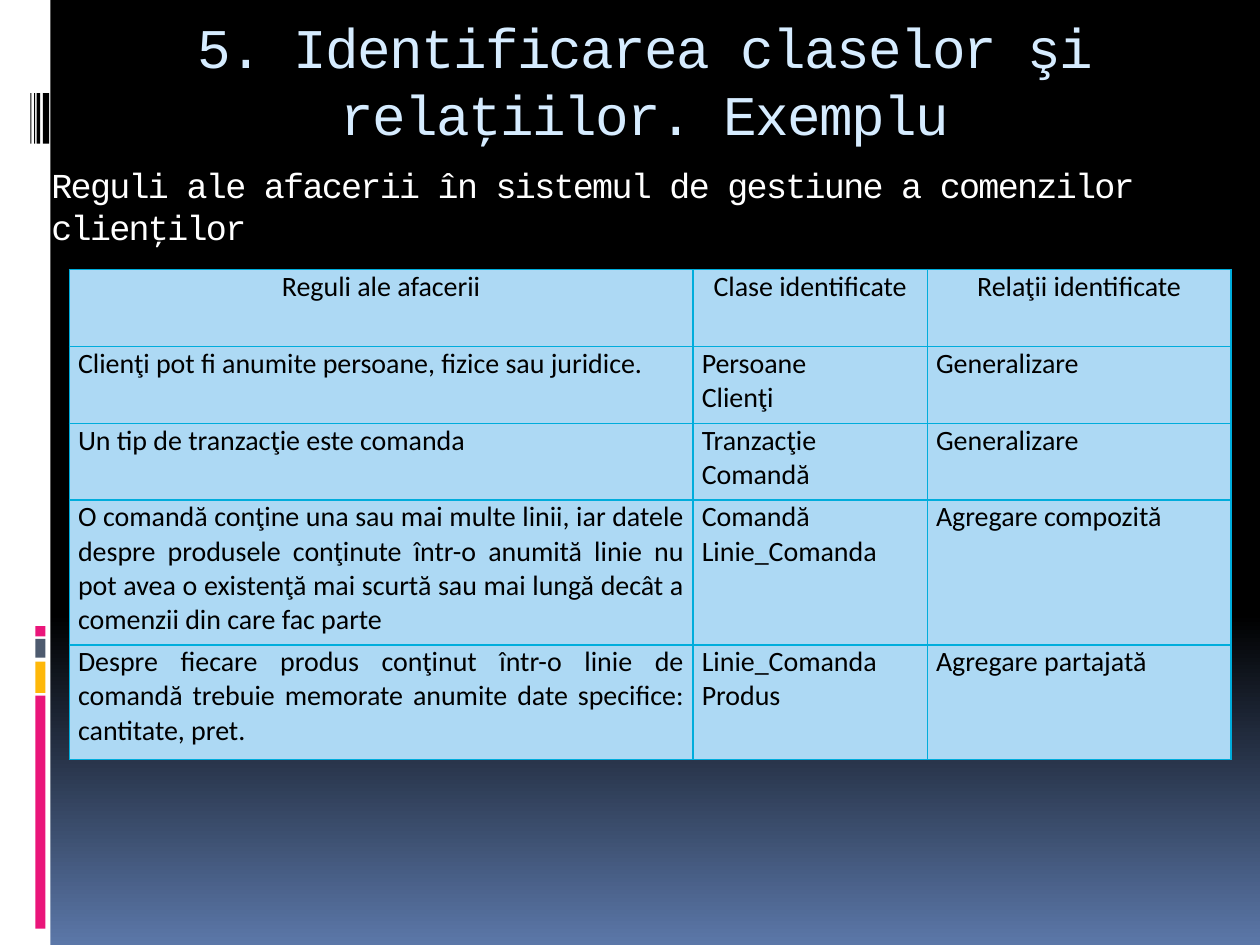
from lxml import etree
from pptx import Presentation
from pptx.dml.color import RGBColor
from pptx.enum import shapes, text
from pptx.oxml.ns import qn
from pptx.util import Inches, Pt

BLACK = RGBColor(0x00, 0x00, 0x00)
WHITE = RGBColor(0xFF, 0xFF, 0xFF)
BLUE = RGBColor(0x5B, 0x77, 0xA8)
PINK = RGBColor(0xEA, 0x15, 0x7A)
AMBER = RGBColor(0xFE, 0xB8, 0x0A)
SLATE = RGBColor(0x4E, 0x5B, 0x6F)
PALE_BLUE = RGBColor(0xD6, 0xEC, 0xFF)
CELL_BLUE = RGBColor(0xAD, 0xD9, 0xF4)
BORDER = RGBColor(0x00, 0xAD, 0xDC)

CENTER, JUSTIFY, LEFT = (text.PP_ALIGN.CENTER, text.PP_ALIGN.JUSTIFY,
                         text.PP_ALIGN.LEFT)
COLUMNS = [4.95, 1.86, 2.41]
ROW_HEIGHTS = [0.61, 0.61, 0.61, 1.15, 0.91]
RULES = [
    ("Reguli ale afacerii", "Clase identificate", "Relaţii identificate"),
    ("Clienţi pot fi anumite persoane, fizice sau juridice.",
     "Persoane\nClienţi", "Generalizare"),
    ("Un tip de tranzacţie este comanda",
     "Tranzacţie\nComandă", "Generalizare"),
    ("O comandă conţine una sau mai multe linii, iar datele despre produsele "
     "conţinute într-o anumită linie nu pot avea o existenţă mai scurtă sau "
     "mai lungă decât a comenzii din care fac parte",
     "Comandă\nLinie_Comanda", "Agregare compozită"),
    ("Despre fiecare produs conţinut într-o linie de comandă trebuie memorate "
     "anumite date specifice: cantitate, pret.",
     "Linie_Comanda\nProdus", "Agregare partajată"),
]


def set_background(s):
    """Fade the slide from black down to blue."""
    fill = s.background.fill
    fill.gradient()
    fill.gradient_angle = 270
    for stop, (position, color) in zip(fill.gradient_stops,
                                       [(0.65, BLACK), (1, BLUE)]):
        stop.position = position
        stop.color.rgb = color


def add_bar(s, left, top, width, height, color):
    """Add a plain filled rectangle."""
    sp = s.shapes.add_shape(shapes.MSO_SHAPE.RECTANGLE, Inches(left),
                            Inches(top), Inches(width), Inches(height))
    sp.shadow.inherit = False
    sp.fill.solid()
    sp.fill.fore_color.rgb = color
    sp.line.fill.background()


def add_side_band(s):
    """Add the white band with its coloured and black bars."""
    add_bar(s, 0, 0, 0.4, 7.5, WHITE)
    for top, height, color in [(5.52, 1.85, PINK), (5.25, 0.25, AMBER),
                               (5.07, 0.15, SLATE), (4.97, 0.08, PINK)]:
        add_bar(s, 0.28, top, 0.08, height, color)
    for left, width in [(0.34, 0.05), (0.29, 0.03), (0.27, 0.01), (0.24, 0.01)]:
        add_bar(s, left, 0.74, width, 0.4, BLACK)


def add_heading(s, words, left, top, width, height, size, color, align):
    """Add a heading in slightly tightened Courier New."""
    tf = s.shapes.add_textbox(Inches(left), Inches(top), Inches(width),
                              Inches(height)).text_frame
    tf.word_wrap = True
    p = tf.paragraphs[0]
    p.alignment = align
    p.font.name, p.font.size = "Courier New", Pt(size)
    p.font.color.rgb = color
    r = p.add_run()
    r.text = words
    r.font._element.set("spc", "-100")


def set_borders(cell):
    """Draw a thin line on all four sides of a cell."""
    tc_pr = cell._tc.get_or_add_tcPr()
    for i, side in enumerate(("a:lnL", "a:lnR", "a:lnT", "a:lnB")):
        ln = etree.Element(qn(side), w=str(Pt(0.94)))
        fill = etree.SubElement(ln, qn("a:solidFill"))
        etree.SubElement(fill, qn("a:srgbClr"), val=str(BORDER))
        tc_pr.insert(i, ln)


def fill_cell(cell, words, align):
    """Write and style one table cell."""
    cell.margin_left = cell.margin_right = Inches(0.07)
    cell.margin_top = cell.margin_bottom = 0
    cell.fill.solid()
    cell.fill.fore_color.rgb = CELL_BLUE
    set_borders(cell)
    cell.text_frame.text = words
    for p in cell.text_frame.paragraphs:
        p.alignment = align
        p.font.name, p.font.size = "Calibri", Pt(16)
        p.font.color.rgb = BLACK


def add_rules_table(s):
    """Add the table of business rules, classes and relations."""
    table = s.shapes.add_table(len(RULES), len(COLUMNS), Inches(0.55),
                               Inches(2.14), Inches(sum(COLUMNS)),
                               Inches(sum(ROW_HEIGHTS))).table
    for column, width in zip(table.columns, COLUMNS):
        column.width = Inches(width)
    for i, (height, rule) in enumerate(zip(ROW_HEIGHTS, RULES)):
        table.rows[i].height = Inches(height)
        aligns = [JUSTIFY, JUSTIFY, LEFT] if i else [CENTER] * 3
        for j, (words, align) in enumerate(zip(rule, aligns)):
            fill_cell(table.cell(i, j), words, align)


def main():
    """Build the slide and save it."""
    prs = Presentation()
    prs.slide_width, prs.slide_height = Inches(10), Inches(7.5)
    s = prs.slides.add_slide(prs.slide_layouts[6])
    set_background(s)
    add_side_band(s)
    add_heading(s, "Reguli ale afacerii în sistemul de gestiune a comenzilor "
                "clienţilor", 0.31, 1.25, 9.69, 0.55, 20, WHITE, LEFT)
    add_rules_table(s)
    add_heading(s, "5. Identificarea claselor şi relaţiilor. Exemplu",
                0.39, 0.05, 9.45, 1.1, 32, PALE_BLUE, CENTER)
    prs.save("out.pptx")


if __name__ == "__main__":
    main()
